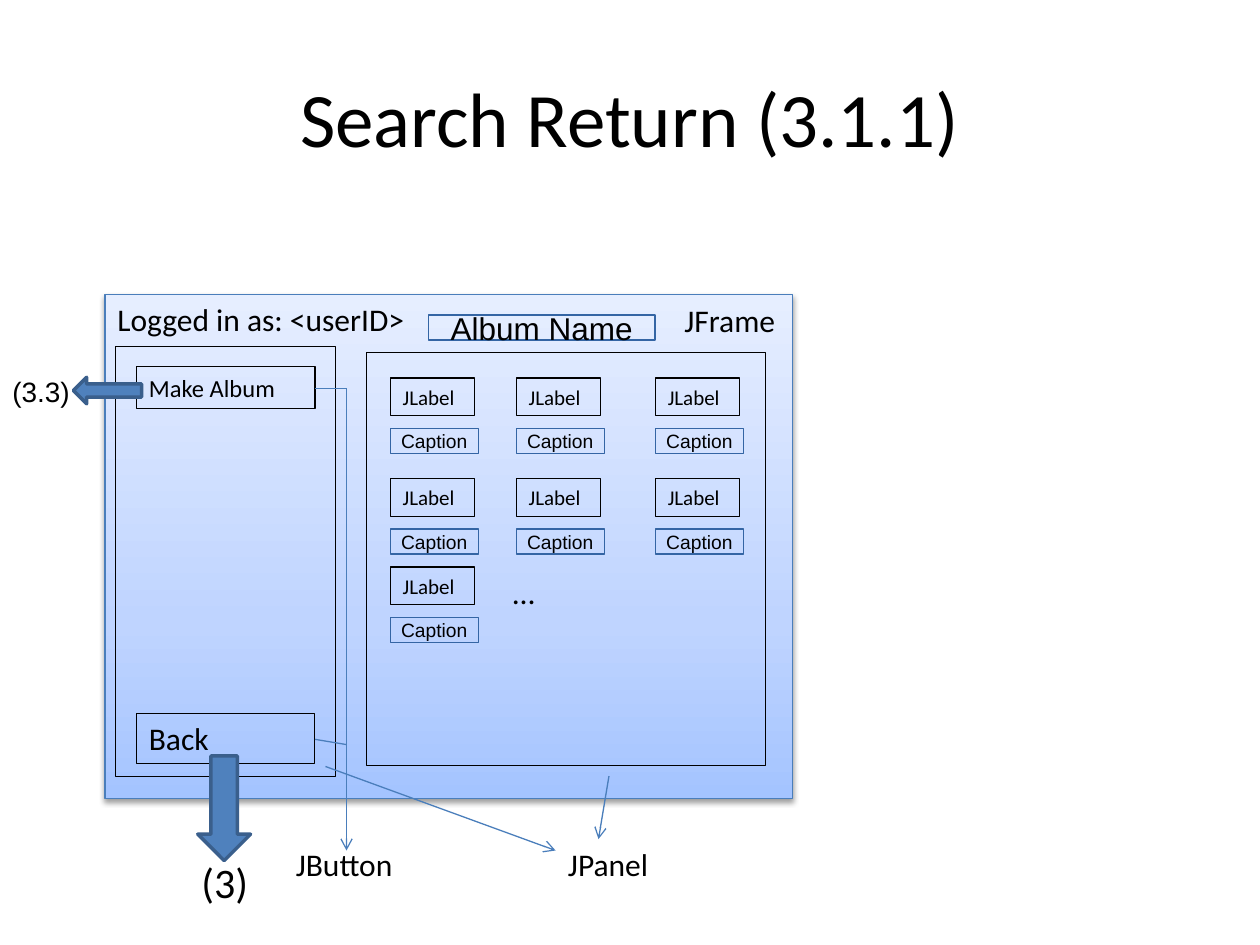
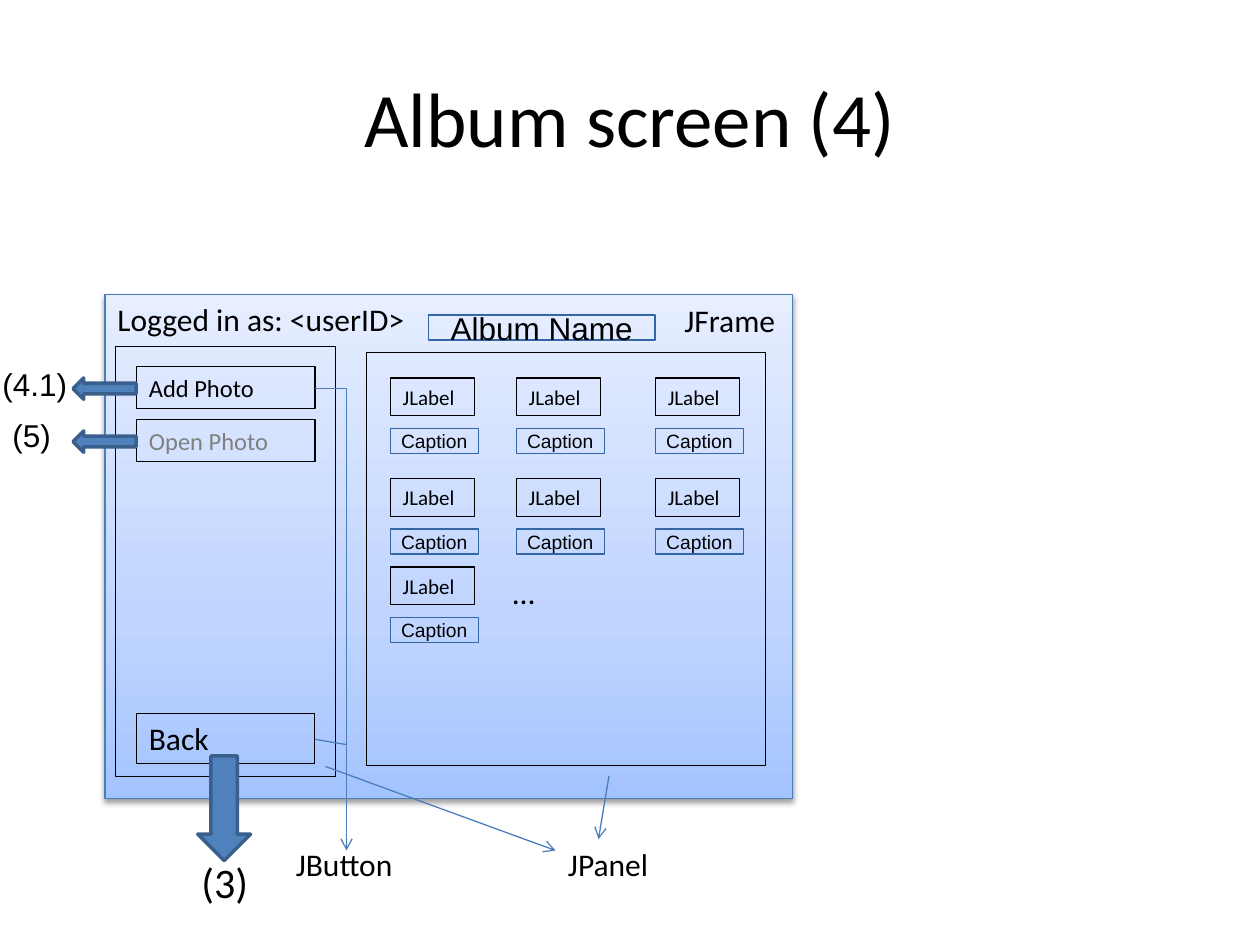
from lxml.etree import SubElement
from pptx import Presentation
from pptx.dml.color import RGBColor
from pptx.enum.shapes import MSO_CONNECTOR, MSO_SHAPE
from pptx.enum.text import MSO_ANCHOR, PP_ALIGN
from pptx.oxml.ns import qn
from pptx.util import Pt

COLORS = {
    "text": "000000",
    "disabled": "808080",
    "outline": "000000",
    "caption": "3465A4",
    "line": "4A7EBB",
    "arrow": "4F81BD",
    "arrow_edge": "3A5F8C",
    "frame_bottom": "A4C4FF",
    "frame_middle": "BFD4FF",
    "frame_top": "E6EEFF",
}
FRAME = (60, 168.5, 393, 288)
PHOTO_COLUMNS = (13.5, 85.5, 165)
PHOTO_ROWS = ((14.5, 3), (72, 3), (122.5, 1))


def rgb(name):
    return RGBColor.from_string(COLORS[name])


def write(sp, text, size, font="Calibri", color="text", centered=False,
          wrap=True, margins=(7.2, 3.6)):
    tf = sp.text_frame
    tf.word_wrap = wrap
    tf.margin_left = tf.margin_right = Pt(margins[0])
    tf.margin_top = tf.margin_bottom = Pt(margins[1])
    tf.vertical_anchor = MSO_ANCHOR.MIDDLE if centered else MSO_ANCHOR.TOP
    p = tf.paragraphs[0]
    p.alignment = PP_ALIGN.CENTER if centered else PP_ALIGN.LEFT
    r = p.add_run()
    r.text = text
    r.font.size = Pt(size)
    r.font.name = font
    r.font.color.rgb = rgb(color)


def add_text(s, x, y, w, h, text, size, **style):
    sp = s.shapes.add_textbox(Pt(x), Pt(y), Pt(w), Pt(h))
    write(sp, text, size, **style)


def add_box(s, x, y, w, h, line="outline", width=0.75, fill=None,
            kind=MSO_SHAPE.RECTANGLE):
    sp = s.shapes.add_shape(kind, Pt(x), Pt(y), Pt(w), Pt(h))
    sp.shadow.inherit = False
    if fill:
        sp.fill.solid()
        sp.fill.fore_color.rgb = rgb(fill)
    else:
        sp.fill.background()
    sp.line.color.rgb = rgb(line)
    sp.line.width = Pt(width)
    return sp


def add_arrow(s, kind, x, y, w, h):
    add_box(s, x, y, w, h, "arrow_edge", 2, "arrow", kind)


def add_line(s, x1, y1, x2, y2, pointed):
    c = s.shapes.add_connector(MSO_CONNECTOR.STRAIGHT, Pt(x1), Pt(y1), Pt(x2), Pt(y2))
    c.line.color.rgb = rgb("line")
    c.line.width = Pt(0.75)
    spPr = c._element.spPr
    if pointed:
        SubElement(spPr.find(qn("a:ln")), qn("a:tailEnd"), type="arrow")
    SubElement(spPr, qn("a:effectLst"))


def add_field(s, x, y, w, h, text, size):
    sp = add_box(s, x, y, w, h, "caption")
    write(sp, text, size, font="Arial", centered=True, wrap=False)


def add_title(s, x, y, w, h, text):
    add_text(s, x, y, w, h, text, 44, centered=True, margins=(0, 0))


def add_frame(s, x, y, w, h):
    sp = add_box(s, x, y, w, h, "line")
    sp.fill.gradient()
    spPr = sp._element.spPr
    grad = spPr.find(qn("a:gradFill"))
    for child in list(grad):
        grad.remove(child)
    stops = SubElement(grad, qn("a:gsLst"))
    for pos, name in ((0, "frame_bottom"), (35, "frame_middle"), (100, "frame_top")):
        stop = SubElement(stops, qn("a:gs"), pos=str(pos * 1000))
        SubElement(stop, qn("a:srgbClr"), val=COLORS[name])
    SubElement(grad, qn("a:lin"), ang="16200000", scaled="0")
    shadow = SubElement(spPr.find(qn("a:effectLst")), qn("a:outerShdw"),
                        blurRad=str(Pt(3.1)), dist=str(Pt(1.6)),
                        dir="5400000", rotWithShape="0")
    color = SubElement(shadow, qn("a:srgbClr"), val="000000")
    SubElement(color, qn("a:alpha"), val="38000")
    add_text(s, x + 324, y, 72, 29, "JFrame", 18)
    add_text(s, x, y - 0.5, 192, 29, "Logged in as: <userID>", 18)
    add_field(s, x + 184.8, y + 11.5, 129.6, 14.4, "Album Name", 18)


def add_button_panel(s, x, y, w, h, buttons):
    add_box(s, x, y, w, h, width=0.51)
    for i, (text, color) in enumerate(buttons):
        sp = add_box(s, x + 12.25, y + 11.5 + 30.25 * i, 102, 24)
        write(sp, text, 14, color=color)
    sp = add_box(s, x + 12.25, y + 209.5, 102, 29, width=0.51)
    write(sp, "Back", 18)


def add_photo_panel(s, x, y, w, h):
    add_box(s, x, y, w, h, width=0.51)
    for top, count in PHOTO_ROWS:
        for left in PHOTO_COLUMNS[:count]:
            sp = add_box(s, x + left, y + top, 48.2, 21.6)
            write(sp, "JLabel", 12)
            add_field(s, x + left, y + top + 28.8, 50.4, 14.4, "Caption", 11)
    add_text(s, x + 76.5, y + 122.5, 24, 29, "…", 18)


def add_callouts(s, x, y):
    for x1, y1, x2, y2, pointed in (
        (288, 275, 282, 311, True),
        (138, 53.5, 138, 317.5, True),
        (138, 53.5, 120, 53.5, False),
        (138, 257, 120, 254, False),
        (126, 269.5, 257.5, 317.5, True),
    ):
        add_line(s, x + x1, y + y1, x + x2, y + y2, pointed)
    add_text(s, x + 102, y + 311, 72, 29, "JButton", 18)
    add_text(s, x + 257.5, y + 311, 138, 29, "JPanel", 18)
    add_arrow(s, MSO_SHAPE.DOWN_ARROW, x + 53, y + 263.5, 30.2, 59.8)
    add_text(s, x + 48, y + 317.5, 60, 36, "(3)", 24)


def add_exit(s, x, y, arrow, label, text, size):
    ax, ay, aw, ah = arrow
    lx, ly, lw, lh = label
    add_arrow(s, MSO_SHAPE.LEFT_ARROW, x + ax, y + ay, aw, ah)
    add_text(s, x + lx, y + ly, lw, lh, text, size, font="Arial")


def add_screen(prs, title, buttons, exits):
    s = prs.slides.add_slide(prs.slide_layouts[6])
    x, y, w, h = FRAME
    add_title(s, 36, 21.6, 648, 90, title)
    add_frame(s, x, y, w, h)
    add_button_panel(s, x + 5.75, y + 29.5, 126, 246, buttons)
    add_photo_panel(s, x + 149.5, y + 33, 228, 236)
    add_callouts(s, x, y)
    for item in exits:
        add_exit(s, x, y, *item)


prs = Presentation()
prs.slide_width, prs.slide_height = Pt(720), Pt(540)
add_screen(
    prs, "Search Return (3.1.1)",
    [("Make Album", "text")],
    [((-18, 47.1, 38.9, 15.1), (-60, 41.75, 60, 26.6), "(3.3)", 16)],
)
add_screen(
    prs, "Album screen (4)",
    [("Add Photo", "text"), ("Open Photo", "disabled")],
    [((-18.25, 47.5, 36, 12.2), (-65.75, 36.75, 54, 29), "(4.1)", 18),
     ((-18.25, 77.75, 36, 12.2), (-60, 65.5, 54, 29), "(5)", 18)],
)
prs.save("out.pptx")
